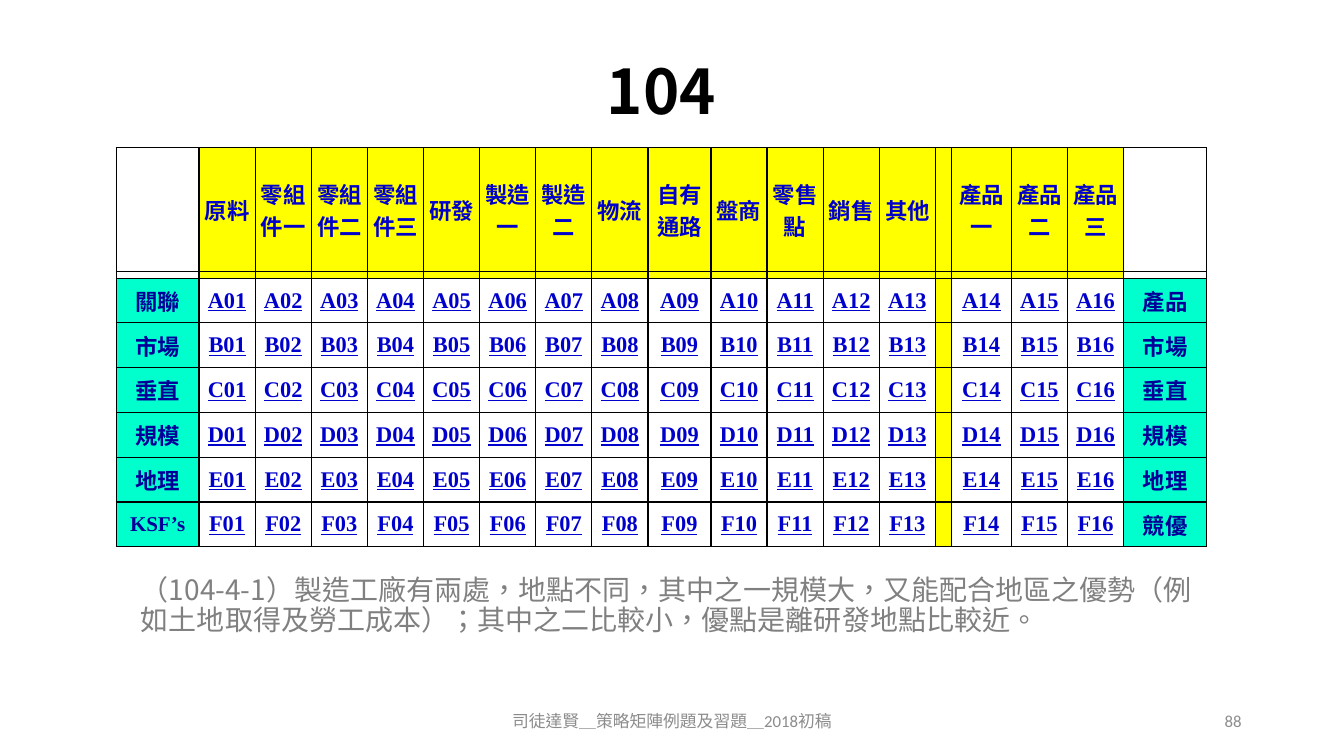
import pptx
import pptx.dml.color
import pptx.enum.lang
import pptx.enum.text
import pptx.oxml
import pptx.oxml.ns
import pptx.util

Pt = pptx.util.Pt
ALIGN = pptx.enum.text.PP_ALIGN
MIDDLE = pptx.enum.text.MSO_ANCHOR.MIDDLE
CJK = "Noto Sans CJK SC"
COLORS = {
    "black": "000000",
    "yellow": "FFFF00",
    "teal": "00FFCC",
    "code": "0000CC",
    "label": "000099",
    "body": "808080",
    "footer": "8C8C8C",
}
STAGES = ["原料", "零組件一", "零組件二", "零組件三", "研發", "製造一", "製造二",
          "物流", "自有通路", "盤商", "零售點", "銷售", "其他"]
PRODUCTS = ["產品一", "產品二", "產品三"]
LEFT_LABELS = ["關聯", "市場", "垂直", "規模", "地理", "KSF’s"]
RIGHT_LABELS = ["產品", "市場", "垂直", "規模", "地理", "競優"]
GAP = len(STAGES) + 1
LAST = GAP + len(PRODUCTS) + 1
COL_WIDTHS = [59.2] + [40.1] * 8 + [45] + [40.1] * 4 + [11.4, 42.9] + [40.1] * 2 + [59.2]
ROW_HEIGHTS = [88.6, 4.5] + [32] * len(LEFT_LABELS)
NOTE = ("（104-4-1）製造工廠有兩處，地點不同，其中之一規模大，又能配合地區之優勢"
        "（例如土地取得及勞工成本）；其中之二比較小，優點是離研發地點比較近。")


def rgb(name):
    """Return the named colour."""
    return pptx.dml.color.RGBColor.from_string(COLORS[name])


def element(xml):
    """Parse a DrawingML element given without its namespace declaration."""
    tag, rest = xml.split(" ", 1)
    return pptx.oxml.parse_xml(f"{tag} {pptx.oxml.ns.nsdecls('a')} {rest}")


def add_run(p, text, size, color, font="Calibri", bold=False, underline=None):
    """Append one formatted run of Traditional Chinese text."""
    r = p.add_run()
    r.text = text
    r.font.size = Pt(size)
    r.font.name = font
    r.font.bold = bold
    r.font.underline = underline
    r.font.color.rgb = rgb(color)
    r.font.language_id = pptx.enum.lang.MSO_LANGUAGE_ID.TRADITIONAL_CHINESE
    latin = r.font._element.find(pptx.oxml.ns.qn("a:latin"))
    latin.addnext(element(f'<a:ea typeface="{CJK}"/>'))


def add_title(slide, text):
    """Place and fill the title placeholder."""
    sp = slide.shapes.title
    sp.left, sp.top, sp.width, sp.height = Pt(66), Pt(28.8), Pt(813), Pt(77)
    sp.text_frame.vertical_anchor = MIDDLE
    p = sp.text_frame.paragraphs[0]
    p.alignment = ALIGN.CENTER
    p.line_spacing = 0.9
    add_run(p, text, 44, "black", CJK, bold=True)


def add_text(slide, box, text, size, color, font="Calibri", align=ALIGN.LEFT,
             anchor=MIDDLE, spacing=None):
    """Add a wrapped text box holding one paragraph."""
    sp = slide.shapes.add_textbox(*map(Pt, box))
    tf = sp.text_frame
    tf.word_wrap = True
    tf.vertical_anchor = anchor
    p = tf.paragraphs[0]
    p.alignment = align
    p.line_spacing = spacing
    add_run(p, text, size, color, font)


def format_cell(cell, fill):
    """Set margins, fill and black borders of a table cell."""
    cell.margin_left = cell.margin_right = Pt(3.6)
    cell.margin_top = cell.margin_bottom = 0
    cell.vertical_anchor = MIDDLE
    if fill:
        cell.fill.solid()
        cell.fill.fore_color.rgb = rgb(fill)
    else:
        cell.fill.background()
    tcPr = cell._tc.get_or_add_tcPr()
    for i, side in enumerate("LRTB"):
        tcPr.insert(i, element(
            f'<a:ln{side} w="{Pt(1)}"><a:solidFill><a:srgbClr val="{COLORS["black"]}"/>'
            f'</a:solidFill></a:ln{side}>'))


def cell_content(row, col):
    """Return text, fill and run format for one matrix position."""
    edge = col in (0, LAST)
    if row < 2:
        headers = [""] + STAGES + [""] + PRODUCTS + [""]
        text = headers[col] if row == 0 else ""
        return text, None if edge else "yellow", {"size": 16, "color": "code"}
    if edge:
        text = (LEFT_LABELS if col == 0 else RIGHT_LABELS)[row - 2]
        style = {"size": 16, "color": "label"}
        if text.isascii() or text.startswith("KSF"):
            style.update(size=15, font="Times New Roman")
        return text, "teal", style
    if col == GAP:
        return "", "yellow", {}
    number = col if col < GAP else col - 1
    style = {"size": 16, "color": "code", "font": "Times New Roman", "underline": True}
    return f"{'ABCDEF'[row - 2]}{number:02d}", None, style


def add_matrix(slide):
    """Add the strategy matrix table."""
    frame = slide.shapes.add_table(
        len(ROW_HEIGHTS), len(COL_WIDTHS), Pt(83), Pt(105.6),
        Pt(sum(COL_WIDTHS)), Pt(sum(ROW_HEIGHTS)))
    table = frame.table
    table.first_row = table.horz_banding = False
    for column, width in zip(table.columns, COL_WIDTHS):
        column.width = Pt(width)
    for i, height in enumerate(ROW_HEIGHTS):
        table.rows[i].height = Pt(height)
        for j in range(len(COL_WIDTHS)):
            cell = table.cell(i, j)
            text, fill, style = cell_content(i, j)
            format_cell(cell, fill)
            p = cell.text_frame.paragraphs[0]
            p.alignment = ALIGN.CENTER
            if text:
                add_run(p, text, bold=True, **style)
            else:
                p._p.append(element('<a:endParaRPr sz="100"/>'))
            if text and i == 0:
                cell._tc.get_or_add_tcPr().set("vert", "eaVert")


def main():
    """Build the strategy matrix slide."""
    prs = pptx.Presentation()
    prs.slide_width, prs.slide_height = Pt(960), Pt(540)
    slide = prs.slides.add_slide(prs.slide_layouts[5])
    add_title(slide, "104")
    add_matrix(slide)
    add_text(slide, (93.6, 408.2, 768.2, 51), NOTE, 20, "body", CJK,
             anchor=pptx.enum.text.MSO_ANCHOR.TOP, spacing=0.9)
    add_text(slide, (318, 500.5, 324, 28.8), "司徒達賢＿策略矩陣例題及習題＿2018初稿",
             12, "footer", align=ALIGN.CENTER)
    add_text(slide, (678, 500.5, 216, 28.8), "88", 12, "footer", align=ALIGN.RIGHT)
    prs.save("out.pptx")


if __name__ == "__main__":
    main()
